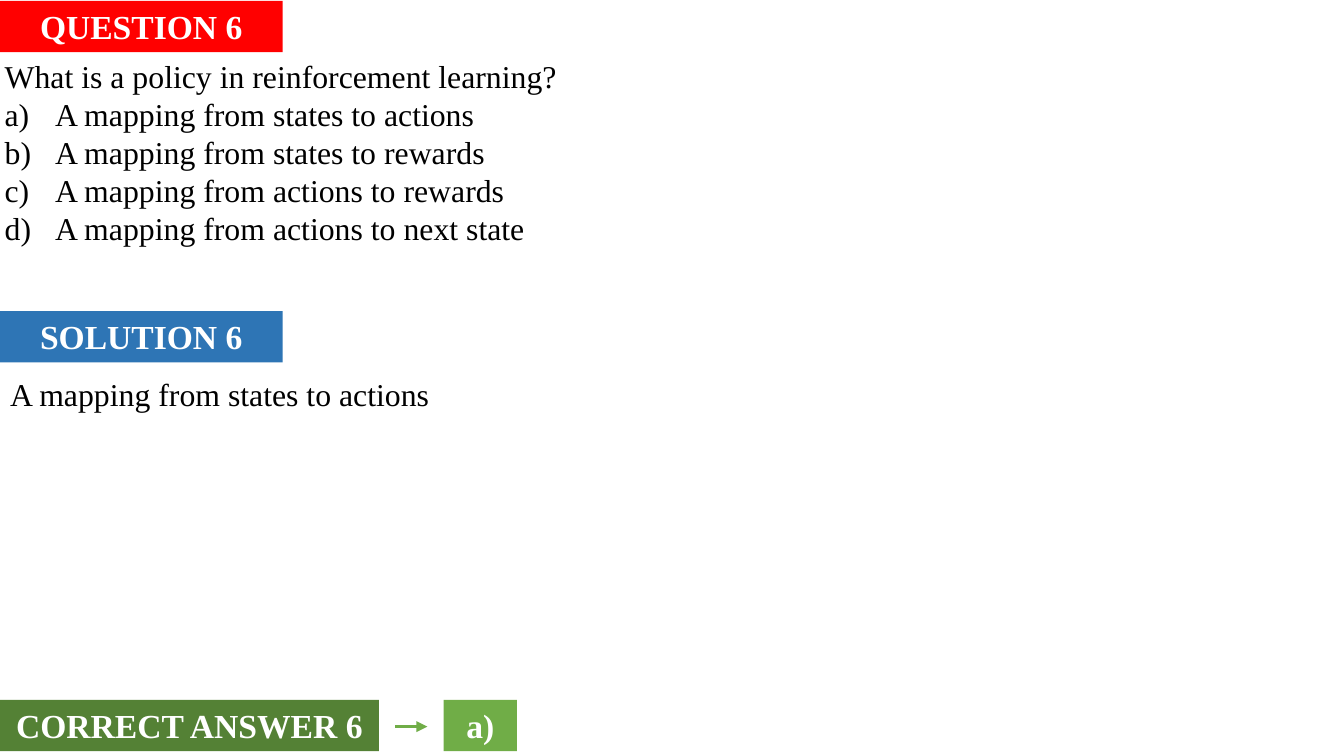
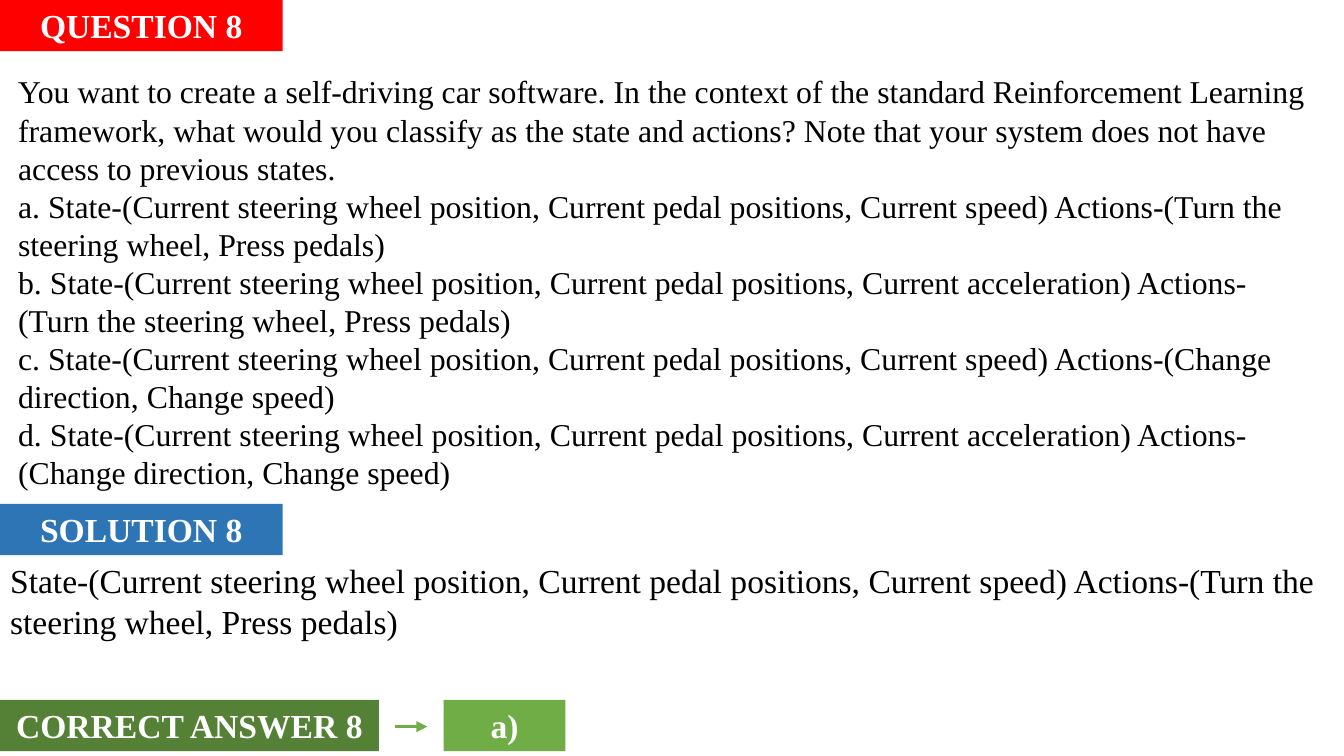
from lxml.etree import SubElement
from pptx import Presentation
from pptx.dml.color import RGBColor
from pptx.enum.shapes import MSO_CONNECTOR, MSO_SHAPE
from pptx.enum.text import MSO_ANCHOR, MSO_AUTO_SIZE, PP_ALIGN
from pptx.oxml.ns import qn
from pptx.util import Pt

RED = RGBColor(0xFF, 0x00, 0x00)
BLUE = RGBColor(0x2E, 0x75, 0xB5)
DARK_GREEN = RGBColor(0x54, 0x81, 0x35)
GREEN = RGBColor(0x70, 0xAD, 0x47)
WHITE = RGBColor(0xFF, 0xFF, 0xFF)
BLACK = RGBColor(0x00, 0x00, 0x00)

FONT = "Times New Roman"
BAND_SIZE = 18
BODY_SIZE = 17
BAND_WIDTH = 151.4
BAND_HEIGHT = 27.4
ANSWER_TOP = 375
ARROW_Y = 389.3
OPTION_INDENT = 27


def write_text(shape, lines, size, color, bold=False, align=None):
    frame = shape.text_frame
    frame.word_wrap = True
    frame.auto_size = MSO_AUTO_SIZE.SHAPE_TO_FIT_TEXT
    frame.margin_left = frame.margin_right = Pt(5.4)
    frame.margin_top = frame.margin_bottom = Pt(2.7)
    frame.text = "\n".join(lines)
    for paragraph in frame.paragraphs:
        paragraph.alignment = align
        for run in paragraph.runs:
            run.font.name = FONT
            run.font.size = Pt(size)
            run.font.bold = bold
            run.font.color.rgb = color


def add_band(slide, text, color, top, left=0, width=BAND_WIDTH):
    band = slide.shapes.add_shape(
        MSO_SHAPE.RECTANGLE, Pt(left), Pt(top), Pt(width), Pt(BAND_HEIGHT))
    band.shadow.inherit = False
    band.fill.solid()
    band.fill.fore_color.rgb = color
    band.line.fill.background()
    band.text_frame.vertical_anchor = MSO_ANCHOR.TOP
    write_text(band, [text], BAND_SIZE, WHITE, bold=True, align=PP_ALIGN.CENTER)


def add_body(slide, lines, left, top, width, height, size=BODY_SIZE):
    box = slide.shapes.add_textbox(Pt(left), Pt(top), Pt(width), Pt(height))
    write_text(box, lines, size, BLACK)
    return box


def letter_options(paragraphs):
    """Number the paragraphs a), b), c) with a hanging indent."""
    for paragraph in paragraphs:
        properties = paragraph._p.get_or_add_pPr()
        properties.set("marL", str(Pt(OPTION_INDENT)))
        properties.set("indent", str(-Pt(OPTION_INDENT)))
        SubElement(properties, qn("a:buFont"), typeface="+mj-lt")
        SubElement(properties, qn("a:buAutoNum"), type="alphaLcParenR")


def add_arrow(slide, start, end, y):
    arrow = slide.shapes.add_connector(
        MSO_CONNECTOR.STRAIGHT, Pt(start), Pt(y), Pt(end), Pt(y))
    arrow.line.color.rgb = GREEN
    arrow.line.width = Pt(1.5)
    SubElement(arrow.line._get_or_add_ln(), qn("a:tailEnd"), type="triangle")
    SubElement(arrow._element.spPr, qn("a:effectLst"))


def add_question_slide(presentation, number, question_top, solution_top,
                       answer, answer_width):
    """Add a slide with the question, solution and answer bands."""
    slide = presentation.slides.add_slide(presentation.slide_layouts[6])
    add_band(slide, f"QUESTION {number}", RED, question_top)
    add_band(slide, f"SOLUTION {number}", BLUE, solution_top)
    add_band(slide, f"CORRECT ANSWER {number}", DARK_GREEN, ANSWER_TOP, width=203)
    add_band(slide, answer, GREEN, ANSWER_TOP, left=237.7, width=answer_width)
    add_arrow(slide, 211.7, 229, ARROW_Y)
    return slide


def driving_option(measure, actions):
    return ("State-(Current steering wheel position, Current pedal positions, "
            f"Current {measure}) Actions-({actions})")


def add_policy_slide(presentation):
    slide = add_question_slide(presentation, 6, 0.5, 166.7, "a)", 39.3)
    mappings = ["states to actions", "states to rewards",
                "actions to rewards", "actions to next state"]
    options = [f"A mapping from {mapping}" for mapping in mappings]
    question = add_body(
        slide, ["What is a policy in reinforcement learning?", *options],
        -2.9, 27.7, 698.4, 105)
    letter_options(question.text_frame.paragraphs[1:])
    add_body(slide, options[:1], 0, 198, 624, 25)


def add_driving_slide(presentation):
    slide = add_question_slide(presentation, 8, 0, 270, "a)", 65.2)
    options = [driving_option(measure, actions)
               for actions in ("Turn the steering wheel, Press pedals",
                               "Change direction, Change speed")
               for measure in ("speed", "acceleration")]
    lettered = [f"{letter}. {option}" for letter, option in zip("abcd", options)]
    add_body(slide, options[:1], 0, 297.4, 711.4, 49, size=18)
    add_body(
        slide,
        ["You want to create a self-driving car software. In the context of the "
         "standard Reinforcement Learning framework, what would you classify as "
         "the state and actions? Note that your system does not have access to "
         "previous states.", *lettered],
        4.3, 36, 702.7, 225.4)


def main():
    presentation = Presentation()
    presentation.slide_width = Pt(720)
    presentation.slide_height = Pt(405)
    add_policy_slide(presentation)
    add_driving_slide(presentation)
    presentation.save("out.pptx")


if __name__ == "__main__":
    main()
